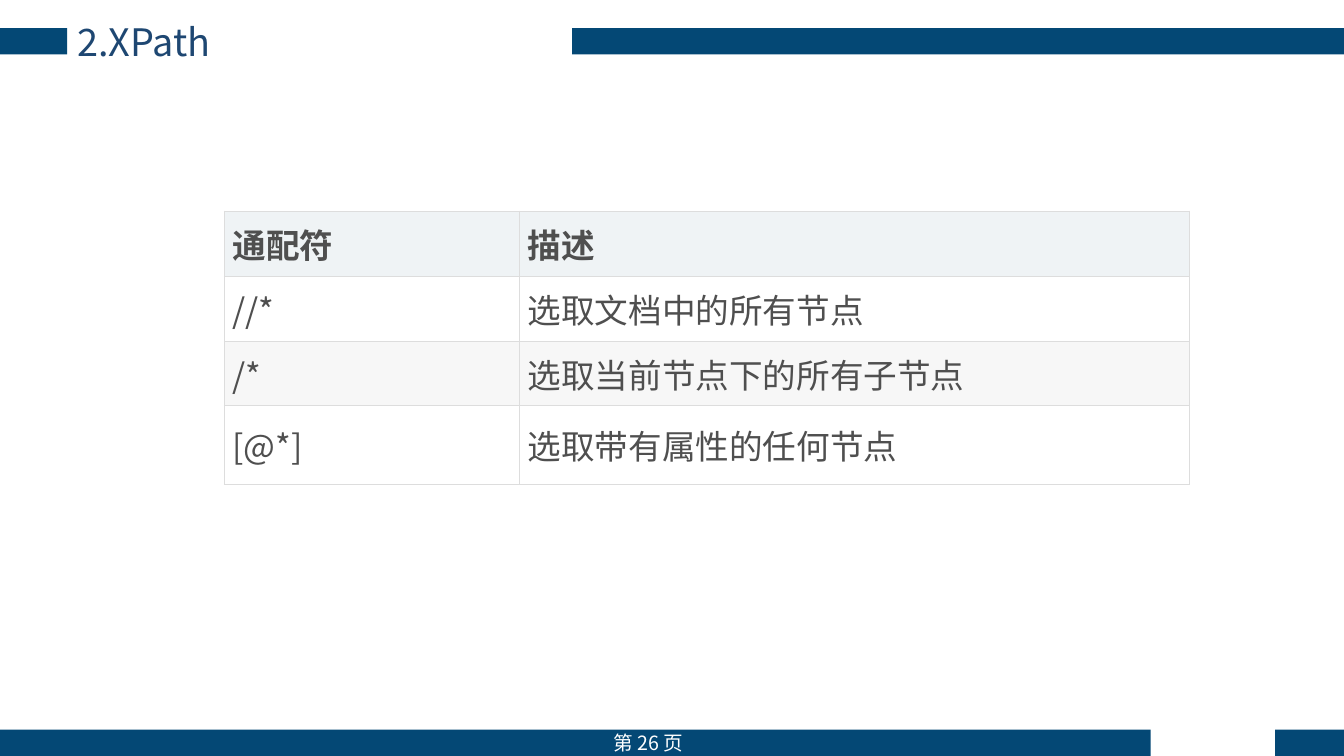
from lxml import etree
from pptx import Presentation
from pptx.dml.color import RGBColor
from pptx.enum.shapes import MSO_SHAPE
from pptx.enum.text import MSO_ANCHOR, PP_ALIGN
from pptx.oxml.ns import qn
from pptx.util import Pt

RECTANGLE = MSO_SHAPE.RECTANGLE
TOP, MIDDLE = MSO_ANCHOR.TOP, MSO_ANCHOR.MIDDLE
LEFT, CENTER = PP_ALIGN.LEFT, PP_ALIGN.CENTER

TITLE = "2.XPath"
PAGE_LABEL = "第 26 页"
WILDCARDS = [
    ("通配符", "描述"),
    ("//*", "选取文档中的所有节点"),
    ("/*", "选取当前节点下的所有子节点"),
    ("[@*]", "选取带有属性的任何节点"),
]

THEME = {
    "font": "Noto Sans CJK SC",
    "band": "044875",
    "title": "1E4772",
    "page": "FFFFFF",
    "body": "4F4F4F",
    "border": "DDDDDD",
    "header_fill": "EFF3F5",
    "row_fills": ("FFFFFF", "F7F7F7"),
    "title_size": 27,
    "page_size": 14,
    "body_size": 24,
}

SLIDE_WIDTH, SLIDE_HEIGHT = 960, 540
BAND_HEIGHT = 18.8
HEADER_TOP, FOOTER_TOP = 20, SLIDE_HEIGHT - BAND_HEIGHT
BANDS = [  # left, right, top
    (0, 48, HEADER_TOP),
    (408.6, SLIDE_WIDTH, HEADER_TOP),
    (0, 822, FOOTER_TOP),
    (910.8, SLIDE_WIDTH, FOOTER_TOP),
]
TABLE_LEFT, TABLE_TOP = 160.2, 150.8
COLUMN_WIDTHS = (210.8, 478.6)
ROW_HEIGHTS = (46.4, 46.4, 46.4, 56.4)
CELL_MARGIN = 6
BORDER_WIDTH = 0.75


def write_text(frame, text, *, size, color, bold=False, align=LEFT):
    paragraph = frame.paragraphs[0]
    paragraph.alignment = align
    run = paragraph.add_run()
    run.text = text
    font = run.font
    font.name, font.size, font.bold = THEME["font"], Pt(size), bold
    font.color.rgb = RGBColor.from_string(color)
    east_asian = etree.SubElement(run._r.get_or_add_rPr(), qn("a:ea"))
    east_asian.set("typeface", THEME["font"])


def add_label(slide, text, box, *, inset_x, inset_y, anchor, **text_format):
    frame = slide.shapes.add_textbox(*map(Pt, box)).text_frame
    frame.word_wrap = True
    frame.vertical_anchor = anchor
    frame.margin_left = frame.margin_right = Pt(inset_x)
    frame.margin_top = frame.margin_bottom = Pt(inset_y)
    write_text(frame, text, **text_format)


def add_band(slide, left, right, top):
    band = slide.shapes.add_shape(
        RECTANGLE, Pt(left), Pt(top), Pt(right - left), Pt(BAND_HEIGHT))
    band.shadow.inherit = False
    band.fill.solid()
    band.fill.fore_color.rgb = RGBColor.from_string(THEME["band"])
    band.line.fill.background()


def set_borders(cell):
    """Draw all four sides; the sides must precede the cell's fill in the XML."""
    properties = cell._tc.get_or_add_tcPr()
    for position, side in enumerate(("a:lnL", "a:lnR", "a:lnT", "a:lnB")):
        line = etree.Element(qn(side), w=str(Pt(BORDER_WIDTH)))
        fill = etree.SubElement(line, qn("a:solidFill"))
        etree.SubElement(fill, qn("a:srgbClr"), val=THEME["border"])
        properties.insert(position, line)


def add_wildcard_table(slide):
    table = slide.shapes.add_table(
        len(WILDCARDS), len(COLUMN_WIDTHS), Pt(TABLE_LEFT), Pt(TABLE_TOP),
        Pt(sum(COLUMN_WIDTHS)), Pt(sum(ROW_HEIGHTS))).table
    for column, width in zip(table.columns, COLUMN_WIDTHS):
        column.width = Pt(width)
    for index, (row, entries) in enumerate(zip(table.rows, WILDCARDS)):
        row.height = Pt(ROW_HEIGHTS[index])
        is_header = index == 0
        fill = THEME["header_fill"] if is_header else THEME["row_fills"][(index - 1) % 2]
        for cell, entry in zip(row.cells, entries):
            cell.margin_left = cell.margin_right = Pt(CELL_MARGIN)
            cell.margin_top = cell.margin_bottom = Pt(CELL_MARGIN)
            cell.vertical_anchor = MIDDLE
            cell.fill.solid()
            cell.fill.fore_color.rgb = RGBColor.from_string(fill)
            set_borders(cell)
            write_text(cell.text_frame, entry, size=THEME["body_size"],
                       color=THEME["body"], bold=is_header)


def main():
    presentation = Presentation()
    presentation.slide_width = Pt(SLIDE_WIDTH)
    presentation.slide_height = Pt(SLIDE_HEIGHT)
    slide = presentation.slides.add_slide(presentation.slide_layouts[6])
    for band in BANDS:
        add_band(slide, *band)
    add_label(slide, PAGE_LABEL, (417.6, 518.4, 91.4, 24.4),
              inset_x=3.6, inset_y=3.6, anchor=TOP, align=CENTER,
              size=THEME["page_size"], color=THEME["page"])
    add_label(slide, TITLE, (48.2, 9.4, 360.8, 40.4),
              inset_x=7.2, inset_y=3.6, anchor=MIDDLE,
              size=THEME["title_size"], color=THEME["title"])
    add_wildcard_table(slide)
    presentation.save("out.pptx")


if __name__ == "__main__":
    main()
